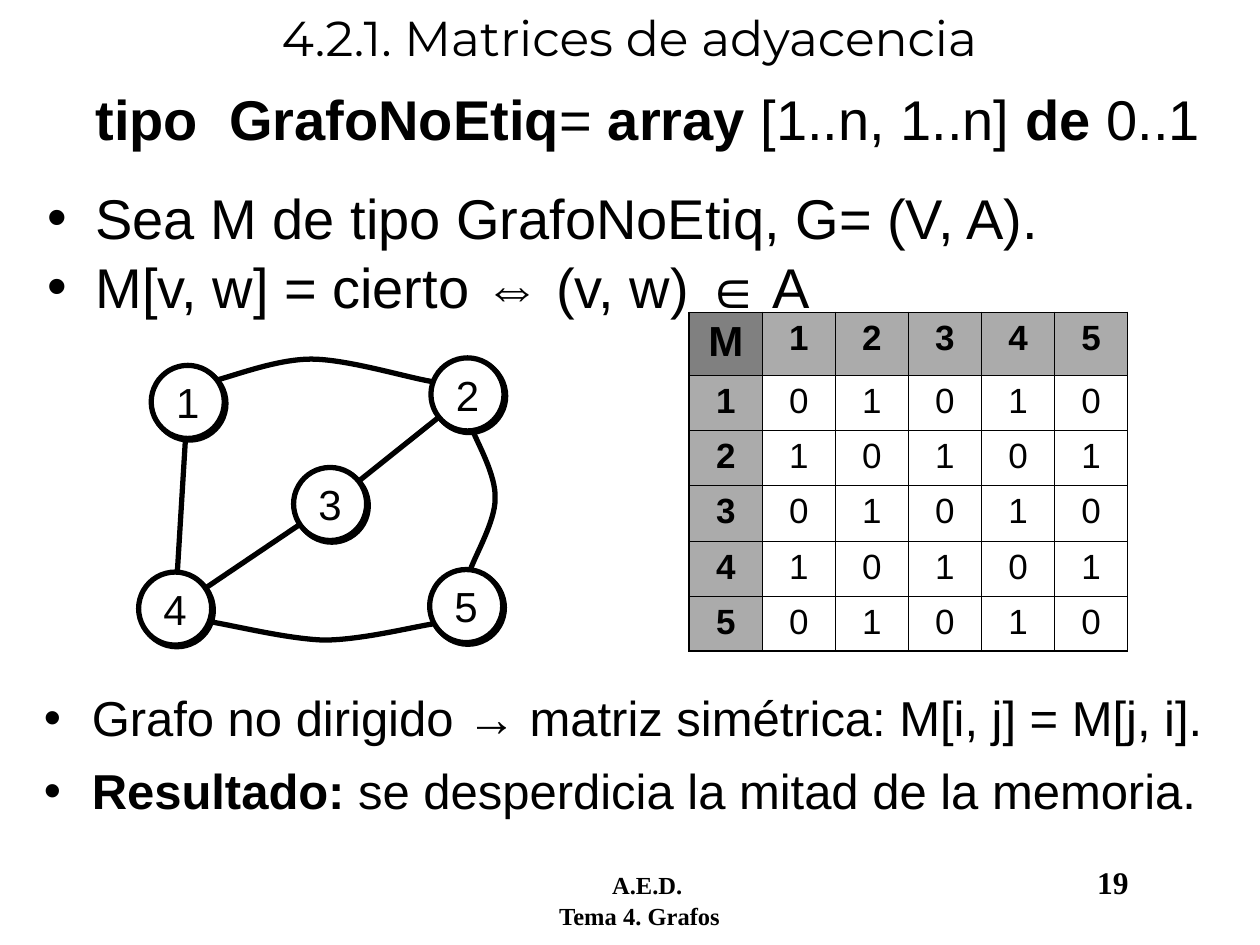
import math

from lxml import etree
from pptx import Presentation
from pptx import util as u
from pptx.dml.color import RGBColor
from pptx.enum import shapes, text
from pptx.oxml import ns

BLACK = RGBColor(0x00, 0x00, 0x00)
WHITE = RGBColor(0xFF, 0xFF, 0xFF)
GRAY = RGBColor(0x80, 0x80, 0x80)
LIGHT_GRAY = RGBColor(0xAB, 0xAB, 0xAB)

COLUMNS, ROWS = 100, 75
NODE_SIZE = 5.8
NODES = {1: (1, 0.6), 2: (23.2, 0), 3: (12.3, 8.7), 4: (0, 17), 5: (23.1, 16.8)}
STRAIGHT_EDGES = [(3, 4), (1, 4), (2, 3)]
CURVED_EDGES = [
    [(5.6, 1.9), (6.9, 1.7), (10.7, 0.1), (13.7, 0.1), (16.6, 0.1), (21.4, 1.6), (23.4, 1.9)],
    [(26.5, 5.7), (26.8, 6.6), (28.4, 9.3), (28.3, 11.2), (28.3, 13), (26.7, 15.7), (26.3, 16.9)],
    [(23.5, 21.1), (22, 21.3), (17.7, 22.4), (14.7, 22.4), (11.7, 22.3), (7.4, 21.2), (5.4, 20.9)],
]
MATRIX = [
    ["M", 1, 2, 3, 4, 5],
    [1, 0, 1, 0, 1, 0],
    [2, 1, 0, 1, 0, 1],
    [3, 0, 1, 0, 1, 0],
    [4, 1, 0, 1, 0, 1],
    [5, 0, 1, 0, 1, 0],
]


def grid(*cells):
    return [u.Inches(cell / 10) for cell in cells]


def add_xml(parent, tag, **attributes):
    return etree.SubElement(
        parent, ns.qn(tag), {name: str(value) for name, value in attributes.items()})


def write(frame, content, size, font="Arial", bold=False, align=None,
          before=0, margin=0, bullet=False, tabs=()):
    paragraph = frame.paragraphs[0]
    if paragraph.runs:
        paragraph = frame.add_paragraph()
    paragraph.alignment = align
    paragraph.space_before = u.Pt(before)
    properties = paragraph._p.get_or_add_pPr()
    if margin:
        properties.set("marL", str(u.Inches(margin)))
        properties.set("indent", str(-u.Inches(margin) if bullet else 0))
    if bullet:
        add_xml(properties, "a:buFont", typeface="Arial")
        add_xml(properties, "a:buChar", char="•")
    if tabs:
        tab_list = add_xml(properties, "a:tabLst")
        for tab in tabs:
            add_xml(tab_list, "a:tab", pos=u.Inches(tab), algn="l")
    for index, part in enumerate(content.split("**")):
        if part:
            run = paragraph.add_run()
            run.text = part
            run.font.name = font
            run.font.size = u.Pt(size)
            run.font.bold = bold or index % 2 == 1
            run.font.color.rgb = BLACK
    return paragraph


def add_frame(slide, box, top_inset=0.05):
    frame = slide.shapes.add_textbox(*grid(*box)).text_frame
    frame.word_wrap = True
    frame.margin_top = u.Inches(top_inset)
    return frame


def add_title(slide, box):
    frame = add_frame(slide, box)
    frame.vertical_anchor = text.MSO_ANCHOR.MIDDLE
    write(frame, "4.2.1. Matrices de adyacencia", 28, "Montserrat",
          align=text.PP_ALIGN.CENTER)


def add_definition(slide, box):
    frame = add_frame(slide, box, 0.1)
    write(frame, "**tipo  GrafoNoEtiq**=** array **[1..n, 1..n]** de **0..1", 32, margin=0.38)
    write(frame, "Sea M de tipo GrafoNoEtiq, G= (V, A).", 32,
          margin=0.38, bullet=True, before=18)
    write(frame, "M[v, w] = cierto ⇔ (v, w) ∈ A", 32, margin=0.38, bullet=True, before=1)


def add_conclusions(slide, box):
    frame = add_frame(slide, box, 0.08)
    write(frame, "Grafo no dirigido → matriz simétrica: M[i, j] = M[j, i].", 28,
          margin=0.38, bullet=True)
    write(frame, "**Resultado:** se desperdicia la mitad de la memoria.", 28,
          margin=0.38, bullet=True, before=8)


def add_footer(slide, box):
    frame = add_frame(slide, box)
    first = write(frame, "\tA.E.D.\t**19", 14, "Times New Roman", bold=True, tabs=(1.14, 4.99))
    first.runs[-1].font.size = u.Pt(18)
    write(frame, "\tTema 4. Grafos", 14, "Times New Roman", bold=True, tabs=(0.72,))


def style_line(shape):
    shape.line.color.rgb = BLACK
    shape.line.width = u.Pt(3)


def add_straight_edge(group, start, end):
    distance = math.dist(start, end)
    share = NODE_SIZE / 2 / distance
    step = [(b - a) * share for a, b in zip(start, end)]
    line = group.shapes.add_connector(
        shapes.MSO_CONNECTOR.STRAIGHT,
        *grid(start[0] + step[0], start[1] + step[1], end[0] - step[0], end[1] - step[1]))
    add_xml(line._element.spPr, "a:effectLst")
    style_line(line)


def add_curved_edge(group, points):
    start, *others = [grid(*point) for point in points]
    builder = group.shapes.build_freeform(*start)
    builder.add_line_segments(others, close=False)
    curve = builder.convert_to_shape()
    curve.shadow.inherit = False
    curve.fill.background()
    style_line(curve)
    outline = curve._element.find(".//" + ns.qn("a:path"))
    segments = outline.findall(ns.qn("a:lnTo"))
    for first in range(0, len(segments), 3):
        bezier = add_xml(outline, "a:cubicBezTo")
        for segment in segments[first:first + 3]:
            bezier.append(segment[0])
            outline.remove(segment)


def add_node(group, label, left, top):
    node = group.shapes.add_shape(
        shapes.MSO_SHAPE.OVAL, *grid(left, top, NODE_SIZE, NODE_SIZE))
    node.fill.solid()
    node.fill.fore_color.rgb = WHITE
    style_line(node)
    effects = add_xml(node._element.spPr, "a:effectLst")
    shadow = add_xml(effects, "a:outerShdw", blurRad=0, dist=u.Pt(1.4), dir=45 * 60000,
                     algn="ctr", rotWithShape=0)
    add_xml(shadow, "a:srgbClr", val=BLACK)
    frame = node.text_frame
    frame.word_wrap = False
    frame.vertical_anchor = text.MSO_ANCHOR.MIDDLE
    write(frame, str(label), 24, align=text.PP_ALIGN.CENTER)


def add_graph(slide, left, top):
    group = slide.shapes.add_group_shape()
    corners = {label: (left + x, top + y) for label, (x, y) in NODES.items()}
    centers = {label: (x + NODE_SIZE / 2, y + NODE_SIZE / 2) for label, (x, y) in corners.items()}
    for start, end in STRAIGHT_EDGES:
        add_straight_edge(group, centers[start], centers[end])
    for points in CURVED_EDGES:
        add_curved_edge(group, [(left + x, top + y) for x, y in points])
    for label, corner in corners.items():
        add_node(group, label, *corner)


def set_borders(cell, outer):
    properties = cell._tc.get_or_add_tcPr()
    for index, side in enumerate("LRTB"):
        border = add_xml(properties, "a:ln" + side, w=u.Pt(1.08 if side in outer else 0.45))
        add_xml(add_xml(border, "a:solidFill"), "a:srgbClr", val=BLACK)
        properties.insert(index, border)


def add_matrix(slide, box):
    count = len(MATRIX)
    table = slide.shapes.add_table(count, count, *grid(*box)).table
    header_height = 5
    row_height = (box[3] - header_height) / (count - 1)
    for index in range(count):
        table.columns[index].width = grid(box[2] / count)[0]
        table.rows[index].height = grid(row_height if index else header_height)[0]
    for row, values in enumerate(MATRIX):
        for column, value in enumerate(values):
            cell = table.cell(row, column)
            corner = row == column == 0
            header = row == 0 or column == 0
            if header:
                cell.fill.solid()
                cell.fill.fore_color.rgb = GRAY if corner else LIGHT_GRAY
            else:
                cell.fill.background()
            edges = {"L": column == 0, "R": column == count - 1,
                     "T": row == 0, "B": row == count - 1}
            set_borders(cell, [side for side, outer in edges.items() if outer])
            write(cell.text_frame, str(value), 24 if corner else 20, bold=header,
                  align=text.PP_ALIGN.CENTER)


def main():
    presentation = Presentation()
    presentation.slide_width, presentation.slide_height = grid(COLUMNS, ROWS)
    slide = presentation.slides.add_slide(presentation.slide_layouts[6])
    add_footer(slide, (36.2, 68, 58, 5))
    add_title(slide, (3.3, 0, 93.3, 5.8))
    add_definition(slide, (2.8, 5.7, 93.9, 19.7))
    add_matrix(slide, (54.7, 24.8, 34.8, 26.9))
    add_graph(slide, 11, 28.4)
    add_conclusions(slide, (2.5, 53.8, 95.1, 14.2))
    presentation.save("out.pptx")


if __name__ == "__main__":
    main()
